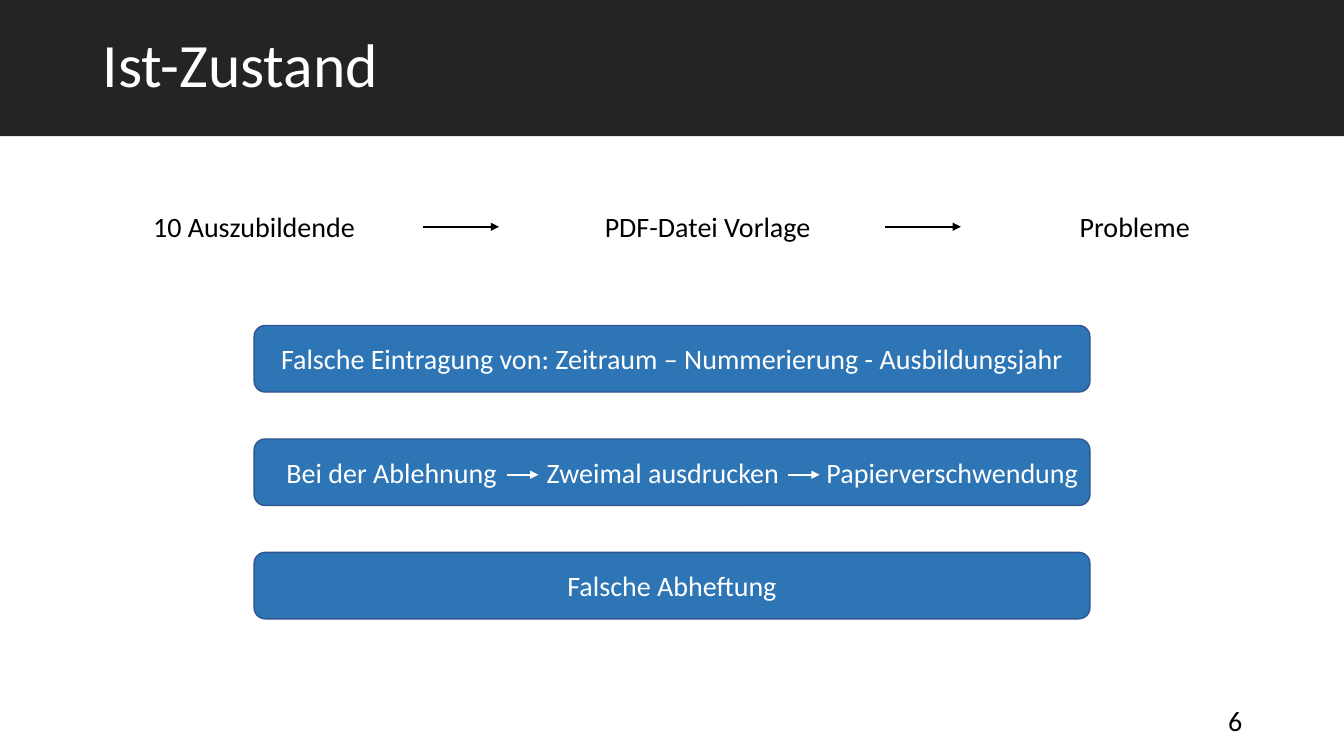
from dataclasses import dataclass

from lxml import etree
from pptx import Presentation
from pptx import util as u
from pptx.dml.color import RGBColor
from pptx.enum import shapes, text
from pptx.oxml import ns


@dataclass(frozen=True)
class Theme:
    font: str = "Calibri"
    title_size: int = 44
    body_size: int = 20
    dark: str = "232524"
    blue: str = "2E75B6"
    blue_edge: str = "325491"
    black: str = "000000"
    white: str = "FFFFFF"


@dataclass(frozen=True)
class Label:
    words: str
    left: float
    top: float
    width: float
    color: str
    align: text.PP_ALIGN = text.PP_ALIGN.CENTER
    wrap: bool = False


@dataclass(frozen=True)
class Arrow:
    left: float
    middle: float
    length: float
    color: str


THEME = Theme()
LABEL_HEIGHT = 0.44
STEP_TOP = 2.03
BAR_LEFT, BAR_TOP, BAR_WIDTH, BAR_HEIGHT = 2.52, 3.23, 8.29, 0.66
BAR_PITCH = 1.125
BAR_COUNT = 3
LABEL_TOPS = [BAR_TOP + 0.11 + row * BAR_PITCH for row in range(BAR_COUNT)]

LABELS = [
    # Process steps
    Label("10 Auszubildende", 1.42, STEP_TOP, 2.29, THEME.black, text.PP_ALIGN.LEFT),
    Label("PDF-Datei Vorlage", 5.9, STEP_TOP, 2.26, THEME.black, text.PP_ALIGN.LEFT),
    Label("Probleme", 10.61, STEP_TOP, 1.31, THEME.black, text.PP_ALIGN.LEFT),
    # Problems on the bars
    Label("Falsche Eintragung von: Zeitraum – Nummerierung - Ausbildungsjahr",
          2.65, LABEL_TOPS[0], 8.03, THEME.white),
    Label("Bei der Ablehnung", 2.71, LABEL_TOPS[1], 2.35, THEME.white, wrap=True),
    Label("Zweimal ausdrucken", 5.31, LABEL_TOPS[1], 2.53, THEME.white, wrap=True),
    Label("Papierverschwendung", 8.08, LABEL_TOPS[1], 2.73, THEME.white, wrap=True),
    Label("Falsche Abheftung", 5.51, LABEL_TOPS[2], 2.31, THEME.white),
]

ARROWS = [
    Arrow(4.2, 2.25, 0.75, THEME.black),
    Arrow(8.78, 2.25, 0.75, THEME.black),
    Arrow(5.03, 4.71, 0.31, THEME.white),
    Arrow(7.82, 4.71, 0.31, THEME.white),
]


def place(shape, left: float, top: float, width: float, height: float) -> None:
    shape.left, shape.top = u.Inches(left), u.Inches(top)
    shape.width, shape.height = u.Inches(width), u.Inches(height)


def write(frame, words: str, size: int, color: str, align: text.PP_ALIGN) -> None:
    frame.text = words
    para = frame.paragraphs[0]
    para.alignment = align
    font = para.runs[0].font
    font.name, font.size = THEME.font, u.Pt(size)
    font.color.rgb = RGBColor.from_string(color)


def add_block(page, kind: shapes.MSO_SHAPE, left: float, top: float,
              width: float, height: float, fill: str, edge: str | None = None) -> None:
    block = page.shapes.add_shape(kind, *map(u.Inches, (left, top, width, height)))
    block.shadow.inherit = False
    block.fill.solid()
    block.fill.fore_color.rgb = RGBColor.from_string(fill)
    if edge:
        block.line.color.rgb = RGBColor.from_string(edge)
        block.line.width = u.Pt(1)
    else:
        block.line.fill.background()


def add_label(page, label: Label) -> None:
    box = page.shapes.add_textbox(
        *map(u.Inches, (label.left, label.top, label.width, LABEL_HEIGHT)))
    frame = box.text_frame
    frame.word_wrap = label.wrap
    frame.auto_size = text.MSO_AUTO_SIZE.SHAPE_TO_FIT_TEXT
    write(frame, label.words, THEME.body_size, label.color, label.align)


def add_arrow(page, arrow: Arrow) -> None:
    middle = u.Inches(arrow.middle)
    connector = page.shapes.add_connector(
        shapes.MSO_CONNECTOR.STRAIGHT, u.Inches(arrow.left), middle,
        u.Inches(arrow.left + arrow.length), middle)
    connector.line.color.rgb = RGBColor.from_string(arrow.color)
    connector.line.width = u.Pt(1.5)
    etree.SubElement(connector.line._get_or_add_ln(), ns.qn("a:tailEnd"), type="triangle")
    etree.SubElement(connector._element.spPr, ns.qn("a:effectLst"))


def add_title(page, words: str) -> None:
    title = page.shapes.title
    place(title, 0.92, 0.2, 11.5, 0.95)
    title.text_frame.vertical_anchor = text.MSO_ANCHOR.MIDDLE
    write(title.text_frame, words, THEME.title_size, THEME.white, text.PP_ALIGN.LEFT)
    title.text_frame.paragraphs[0].line_spacing = 0.9
    # Bring the title in front of the band
    title._element.getparent().append(title._element)


def add_page_number(page, number: int) -> None:
    box = page.shapes.add_textbox(*map(u.Inches, (9.42, 6.95, 3, 0.4)))
    box.text_frame.word_wrap = True
    box.text_frame.vertical_anchor = text.MSO_ANCHOR.MIDDLE
    write(box.text_frame, str(number), THEME.body_size, THEME.black, text.PP_ALIGN.RIGHT)


def main() -> None:
    deck = Presentation()
    deck.slide_width, deck.slide_height = u.Inches(13.33), u.Inches(7.5)
    page = deck.slides.add_slide(deck.slide_layouts.get_by_name("Title Only"))

    # Header and page number
    add_block(page, shapes.MSO_SHAPE.RECTANGLE, 0, 0, 13.33, 1.35, THEME.dark)
    add_title(page, "Ist-Zustand")
    add_page_number(page, 6)

    # Problem bars
    for row in range(BAR_COUNT):
        add_block(page, shapes.MSO_SHAPE.FLOWCHART_ALTERNATE_PROCESS, BAR_LEFT,
                  BAR_TOP + row * BAR_PITCH, BAR_WIDTH, BAR_HEIGHT,
                  THEME.blue, THEME.blue_edge)

    # Texts and arrows
    for label in LABELS:
        add_label(page, label)
    for arrow in ARROWS:
        add_arrow(page, arrow)

    deck.save("out.pptx")


if __name__ == "__main__":
    main()
